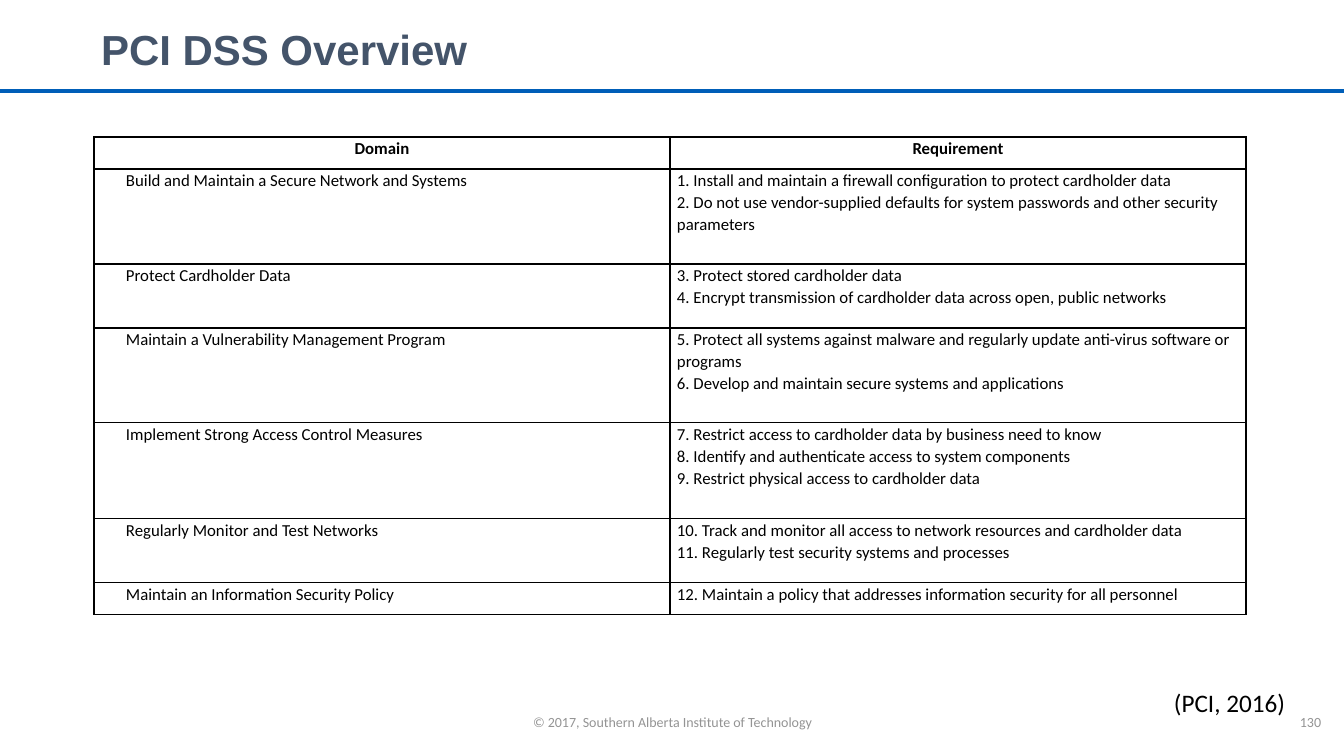
from lxml import etree
from pptx import Presentation
from pptx.dml.color import RGBColor
from pptx.enum.shapes import MSO_SHAPE
from pptx.enum.text import MSO_ANCHOR, PP_ALIGN
from pptx.oxml.ns import qn
from pptx.util import Emu, Pt

RECTANGLE = MSO_SHAPE.RECTANGLE
MIDDLE, TOP = MSO_ANCHOR.MIDDLE, MSO_ANCHOR.TOP
LEFT, CENTER, RIGHT = PP_ALIGN.LEFT, PP_ALIGN.CENTER, PP_ALIGN.RIGHT

SLIDE_WIDTH, SLIDE_HEIGHT = 1344, 756
EMU_PER_PX = 12192000 / SLIDE_WIDTH
BLACK, GREY, SLATE, BLUE = "000000", "949494", "44546A", "005EB8"

COLUMN_WIDTH = 576
CELL_MARGIN = 7
DOMAIN_MARGIN = 32
HEADINGS = ["Domain", "Requirement"]
HEADING_HEIGHT = 32
# Domain, requirements, row height
DOMAINS = [
    ("Build and Maintain a Secure Network and Systems",
     ["1. Install and maintain a firewall configuration to protect cardholder data",
      "2. Do not use vendor-supplied defaults for system passwords and other security parameters"],
     95),
    ("Protect Cardholder Data",
     ["3. Protect stored cardholder data",
      "4. Encrypt transmission of cardholder data across open, public networks"],
     64),
    ("Maintain a Vulnerability Management Program",
     ["5. Protect all systems against malware and regularly update anti-virus software or programs",
      "6. Develop and maintain secure systems and applications"],
     95),
    ("Implement Strong Access Control Measures",
     ["7. Restrict access to cardholder data by business need to know",
      "8. Identify and authenticate access to system components",
      "9. Restrict physical access to cardholder data"],
     96),
    ("Regularly Monitor and Test Networks",
     ["10. Track and monitor all access to network resources and cardholder data",
      "11. Regularly test security systems and processes"],
     64),
    ("Maintain an Information Security Policy",
     ["12. Maintain a policy that addresses information security for all personnel"],
     32),
]


def px(length):
    return Emu(round(length * EMU_PER_PX))


def color(hex_string):
    return RGBColor.from_string(hex_string)


def format_text(text_frame, size, hex_color, font="Calibri", bold=False,
                align=LEFT, line_spacing=1.0):
    for paragraph in text_frame.paragraphs:
        paragraph.alignment = align
        paragraph.line_spacing = line_spacing
        for run in paragraph.runs:
            run.font.name = font
            run.font.size = Pt(size)
            run.font.bold = bold
            run.font.color.rgb = color(hex_color)


def add_title(slide, text):
    title = slide.shapes.title
    title.left, title.top, title.width, title.height = px(91), px(17), px(985), px(70)
    title.text_frame.text = text
    title.text_frame.vertical_anchor = MIDDLE
    format_text(title.text_frame, 30, SLATE, "Arial", bold=True, line_spacing=0.9)


def add_rule(slide):
    rule = slide.shapes.add_shape(RECTANGLE, 0, px(89), px(SLIDE_WIDTH), px(4))
    rule.shadow.inherit = False
    rule.fill.solid()
    rule.fill.fore_color.rgb = color(BLUE)
    rule.line.fill.background()


def add_label(slide, text, left, top, width, height, size, hex_color, align):
    label = slide.shapes.add_textbox(px(left), px(top), px(width), px(height))
    label.text_frame.word_wrap = True
    label.text_frame.text = text
    format_text(label.text_frame, size, hex_color, align=align)


def set_borders(cell):
    properties = cell._tc.get_or_add_tcPr()
    for side in ("a:lnL", "a:lnR", "a:lnT", "a:lnB"):
        line = etree.SubElement(properties, qn(side), w=str(Pt(1)))
        fill = etree.SubElement(line, qn("a:solidFill"))
        etree.SubElement(fill, qn("a:srgbClr"), val=BLACK)


def fill_cell(cell, lines, margin_left=CELL_MARGIN, bold=False, align=LEFT):
    set_borders(cell)
    cell.fill.background()
    cell.margin_left, cell.margin_right = px(margin_left), px(CELL_MARGIN)
    cell.margin_top = cell.margin_bottom = 0
    cell.vertical_anchor = TOP
    cell.text_frame.text = "\n".join(lines)
    format_text(cell.text_frame, 12, BLACK, bold=bold, align=align, line_spacing=1.07)


def add_requirements_table(slide):
    heights = [HEADING_HEIGHT] + [height for _, _, height in DOMAINS]
    frame = slide.shapes.add_table(len(heights), len(HEADINGS), px(94), px(137),
                                   px(COLUMN_WIDTH * len(HEADINGS)), px(sum(heights)))
    table = frame.table
    table.first_row = table.horz_banding = False
    for column in table.columns:
        column.width = px(COLUMN_WIDTH)
    for row, height in zip(table.rows, heights):
        row.height = px(height)
    for index, heading in enumerate(HEADINGS):
        fill_cell(table.cell(0, index), [heading], bold=True, align=CENTER)
    for index, (domain, requirements, _) in enumerate(DOMAINS, start=1):
        fill_cell(table.cell(index, 0), [domain], margin_left=DOMAIN_MARGIN)
        fill_cell(table.cell(index, 1), requirements)


def main():
    presentation = Presentation()
    presentation.slide_width = px(SLIDE_WIDTH)
    presentation.slide_height = px(SLIDE_HEIGHT)
    title_only = presentation.slide_layouts[5]
    slide = presentation.slides.add_slide(title_only)

    add_rule(slide)
    add_label(slide, "© 2017, Southern Alberta Institute of Technology",
              447, 709, 451, 27, 10, GREY, CENTER)
    add_label(slide, "130", 1277, 709, 54, 27, 10, GREY, RIGHT)
    add_title(slide, "PCI DSS Overview")
    add_requirements_table(slide)
    add_label(slide, "(PCI, 2016)", 1112, 682, 183, 40, 18, BLACK, RIGHT)

    presentation.save("out.pptx")


if __name__ == "__main__":
    main()
